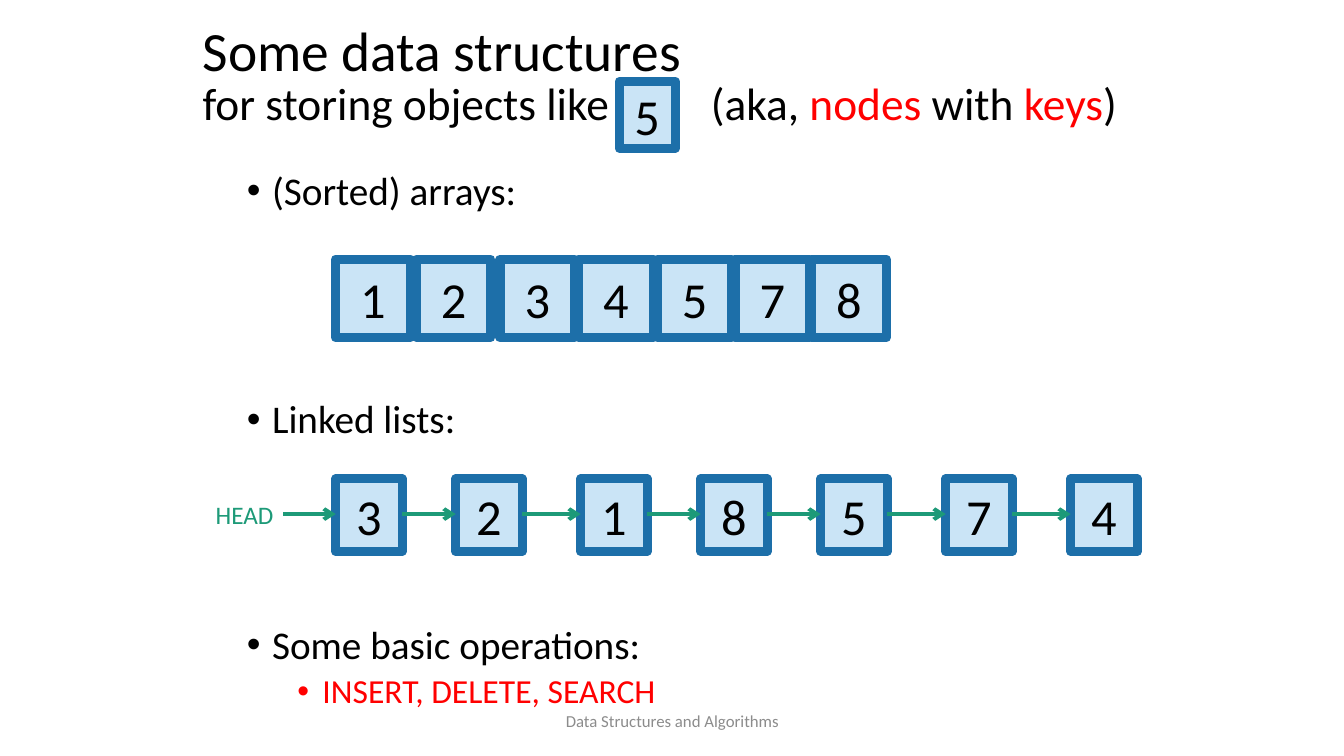
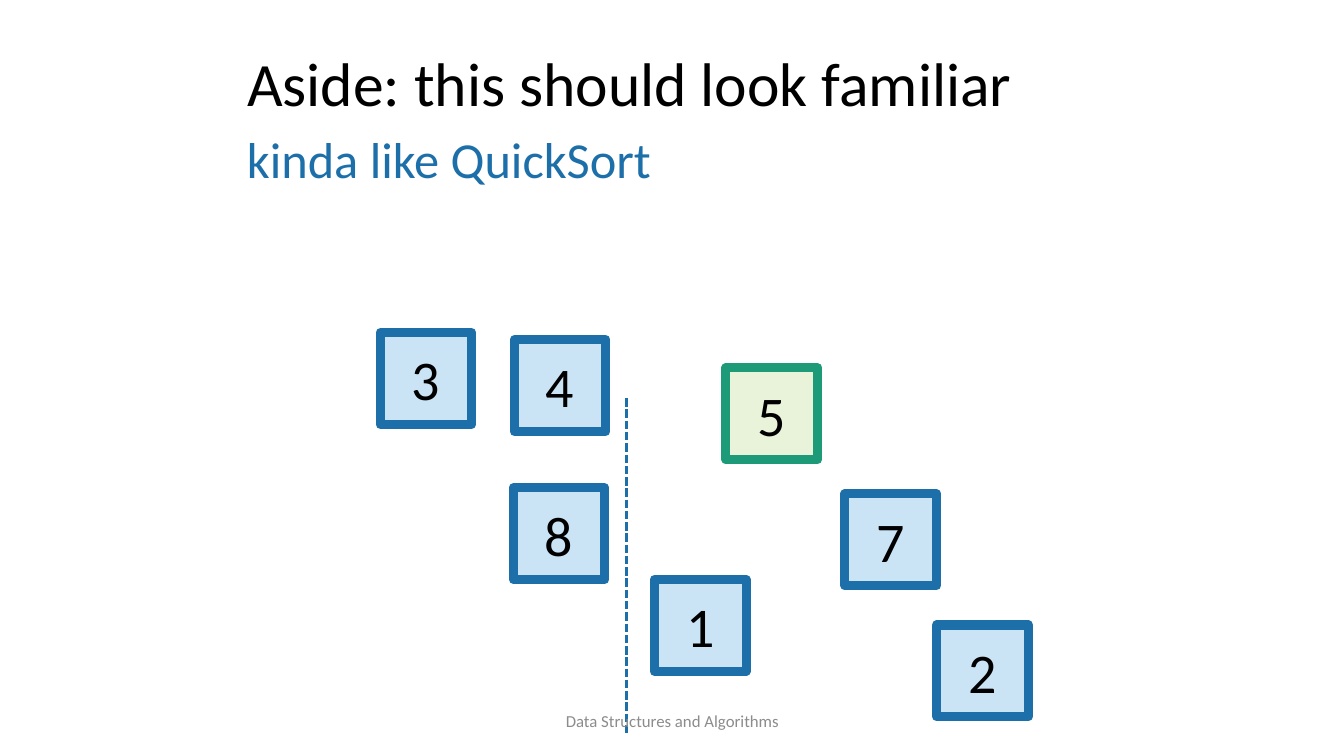
from lxml.etree import SubElement
from pptx import Presentation
from pptx.dml.color import RGBColor
from pptx.enum.dml import MSO_LINE
from pptx.enum.shapes import MSO_CONNECTOR, MSO_SHAPE
from pptx.enum.text import MSO_ANCHOR, MSO_AUTO_SIZE, PP_ALIGN
from pptx.oxml.ns import qn
from pptx.util import Inches, Pt

FONT = "Calibri"
BLACK = RGBColor(0x00, 0x00, 0x00)
RED = RGBColor(0xFF, 0x00, 0x00)
BLUE = RGBColor(0x1D, 0x6F, 0xA9)
PALE_BLUE = RGBColor(0xCA, 0xE4, 0xF6)
GREEN = RGBColor(0x1D, 0x9A, 0x78)
PALE_GREEN = RGBColor(0xE8, 0xF3, 0xDA)
GRAY = RGBColor(0x8C, 0x8C, 0x8C)


def format_paragraph(paragraph, size, color=BLACK, align=PP_ALIGN.LEFT, spacing=None):
    paragraph.alignment = align
    if spacing:
        paragraph.line_spacing = spacing
    paragraph.font.name = FONT
    paragraph.font.size = Pt(size)
    paragraph.font.color.rgb = color


def prepare_frame(shape, anchor):
    frame = shape.text_frame
    frame.word_wrap = True
    frame.auto_size = MSO_AUTO_SIZE.NONE
    frame.vertical_anchor = anchor
    return frame


def place_title(slide, left, top, width, height, anchor=MSO_ANCHOR.MIDDLE):
    title = slide.shapes.title
    title.left, title.top = Inches(left), Inches(top)
    title.width, title.height = Inches(width), Inches(height)
    return prepare_frame(title, anchor)


def add_text_box(slide, left, top, width, height, anchor=MSO_ANCHOR.MIDDLE):
    box = slide.shapes.add_textbox(Inches(left), Inches(top), Inches(width), Inches(height))
    return prepare_frame(box, anchor)


def add_label(slide, text, left, top, width, height, **style):
    paragraph = add_text_box(slide, left, top, width, height).paragraphs[0]
    paragraph.text = text
    format_paragraph(paragraph, **style)


def add_footer(slide):
    add_label(slide, "Data Structures and Algorithms", 4.42, 6.95, 4.5, 0.4,
              size=12, color=GRAY, align=PP_ALIGN.CENTER)


def add_node(slide, key, left, top, width, height, size=36, fill=PALE_BLUE, border=BLUE):
    node = slide.shapes.add_shape(
        MSO_SHAPE.RECTANGLE, Inches(left), Inches(top), Inches(width), Inches(height))
    node.shadow.inherit = False
    node.fill.solid()
    node.fill.fore_color.rgb = fill
    node.line.color.rgb = border
    node.line.width = Pt(6.5)
    frame = prepare_frame(node, MSO_ANCHOR.MIDDLE)
    frame.margin_left = frame.margin_right = 0
    paragraph = frame.paragraphs[0]
    paragraph.text = str(key)
    format_paragraph(paragraph, size, align=PP_ALIGN.CENTER)


def add_line(slide, start, end, color, width):
    line = slide.shapes.add_connector(
        MSO_CONNECTOR.STRAIGHT, *(Inches(value) for value in (*start, *end)))
    line.line.color.rgb = color
    line.line.width = Pt(width)
    SubElement(line._element.spPr, qn("a:effectLst"))
    return line


def add_arrow(slide, left, right, y):
    arrow = add_line(slide, (left, y), (right, y), GREEN, 2.75)
    SubElement(arrow.line._get_or_add_ln(), qn("a:tailEnd"), type="arrow")


def add_bullets(slide, items, left, top, width, height):
    frame = add_text_box(slide, left, top, width, height, MSO_ANCHOR.TOP)
    for index, (text, level, size, color, space_before) in enumerate(items):
        paragraph = frame.add_paragraph() if index else frame.paragraphs[0]
        paragraph.text = text
        paragraph.level = level
        properties = paragraph._p.get_or_add_pPr()
        properties.set("marL", str(Inches(0.25 + 0.5 * level)))
        properties.set("indent", str(Inches(-0.25)))
        SubElement(properties, qn("a:buFont"), typeface="Arial")
        SubElement(properties, qn("a:buChar"), char="•")
        paragraph.space_before = Pt(space_before)
        format_paragraph(paragraph, size, color, spacing=0.9)


def add_array(slide, keys, lefts, top, width, height):
    for key, left in zip(keys, lefts):
        add_node(slide, key, left, top, width, height)


def add_linked_list(slide, keys, lefts, top, width, height):
    add_array(slide, keys, lefts, top, width, height)
    arrow_y = top + 0.35
    arrow_starts = [lefts[0] - 0.52] + [left + width for left in lefts[:-1]]
    for start, end in zip(arrow_starts, lefts):
        add_arrow(slide, start, end, arrow_y)
    add_label(slide, "HEAD", lefts[0] - 1.29, arrow_y - 0.2, 1.07, 0.4,
              size=18, color=GREEN)


def add_structures_title(slide, left, top, width, height):
    frame = place_title(slide, left, top, width, height, MSO_ANCHOR.TOP)
    heading = frame.paragraphs[0]
    heading.text = "Some data structures"
    format_paragraph(heading, 39.6, spacing=0.9)
    subtitle = frame.add_paragraph()
    tabs = SubElement(subtitle._p.get_or_add_pPr(), qn("a:tabLst"))
    SubElement(tabs, qn("a:tab"), pos=str(Inches(5.04)), algn="l")
    subtitle.space_before = Pt(0)
    format_paragraph(subtitle, 32.4, spacing=0.85)
    for text, color in (("for storing objects like\t(aka, ", BLACK), ("nodes", RED),
                        (" with ", BLACK), ("keys", RED), (")", BLACK)):
        run = subtitle.add_run()
        run.text = text
        run.font.color.rgb = color
    add_node(slide, 5, left + 4.23, top + 0.63, 0.56, 0.66)


def build_structures_slide(slide):
    add_structures_title(slide, 1.91, 0.18, 10.09, 1.44)
    add_bullets(slide, [
        ("(Sorted) arrays:", 0, 28, BLACK, 0),
        ("Linked lists:", 0, 28, BLACK, 133),
        ("Some basic operations:", 0, 28, BLACK, 131),
        ("INSERT, DELETE, SEARCH", 1, 24, RED, 5),
    ], 2.35, 1.65, 8.62, 5.85)
    add_linked_list(slide, (3, 2, 1, 8, 5, 7, 4),
                    (3.33, 4.52, 5.76, 6.95, 8.14, 9.38, 10.62), 4.75, 0.66, 0.72)
    add_array(slide, (1, 2, 3, 4, 5, 7, 8),
              (3.33, 4.13, 4.96, 5.74, 6.52, 7.29, 8.05), 2.57, 0.74, 0.78)
    add_footer(slide)


def build_quicksort_slide(slide):
    title = place_title(slide, 2.35, 0.4, 8.62, 0.92).paragraphs[0]
    title.text = "Aside: this should look familiar"
    format_paragraph(title, 44, spacing=0.9)
    for key, left, top in ((4, 5.1, 3.37), (2, 9.29, 6.2), (8, 5.09, 4.84),
                           (7, 8.38, 4.9), (1, 6.49, 5.75), (3, 3.77, 3.3)):
        add_node(slide, key, left, top, 0.91, 0.91, 40)
    add_node(slide, 5, 7.2, 3.65, 0.91, 0.91, 40, PALE_GREEN, GREEN)
    divider = add_line(slide, (6.21, 3.95), (6.21, 7.28), BLUE, 2)
    divider.line.dash_style = MSO_LINE.SQUARE_DOT
    add_label(slide, "kinda like QuickSort", 2.35, 1.15, 4.58, 0.92,
              size=36, color=BLUE, spacing=0.9)
    add_footer(slide)


def main():
    presentation = Presentation()
    presentation.slide_width = Inches(13.33)
    presentation.slide_height = Inches(7.5)
    title_only = presentation.slide_layouts[5]
    for build_slide in (build_structures_slide, build_quicksort_slide):
        build_slide(presentation.slides.add_slide(title_only))
    presentation.save("out.pptx")


if __name__ == "__main__":
    main()
